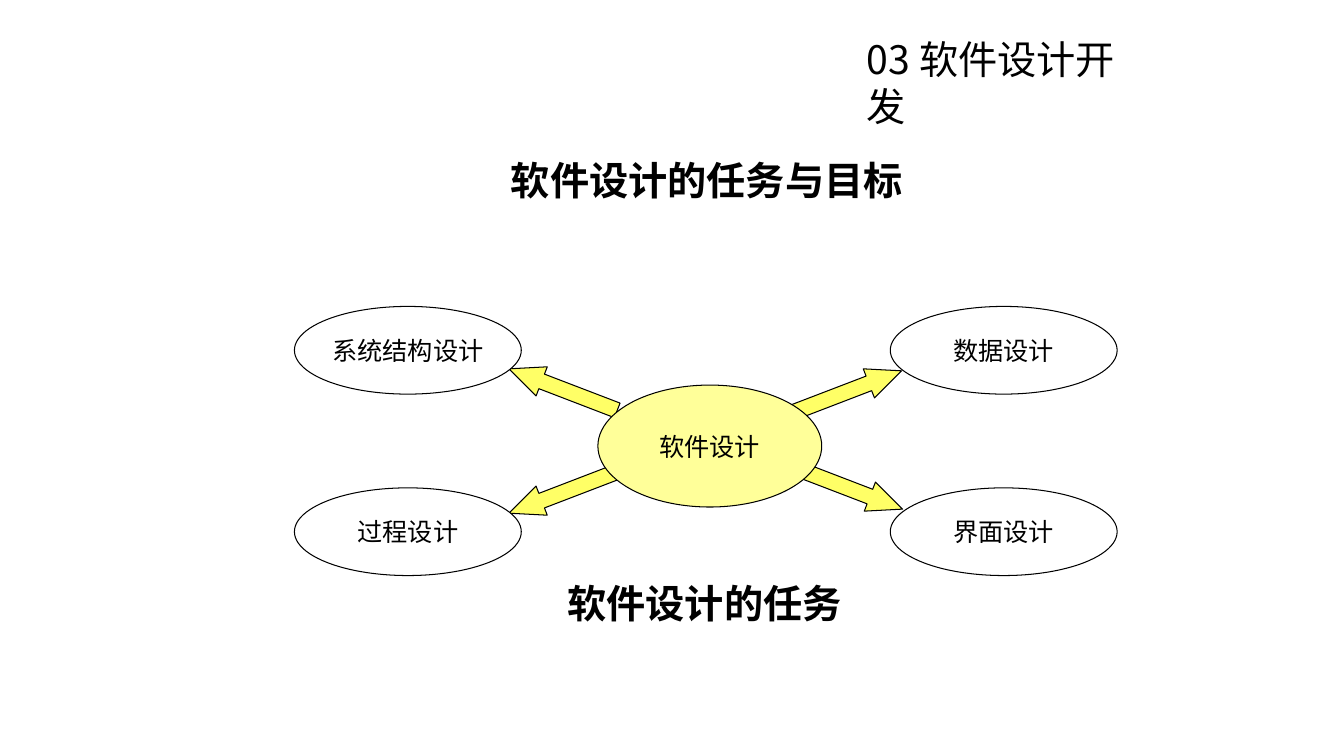
"""Build the slide on the tasks and goals of software design."""
from dataclasses import dataclass

from lxml import etree
from pptx import Presentation
from pptx import util as u
from pptx.dml.color import RGBColor
from pptx.enum import shapes, text
from pptx.oxml import ns

COLORS = {"ink": "000000", "paper": "FFFFFF", "hub": "FFFF99", "arrow": "FFFF66"}
CJK = "Noto Sans CJK SC"
LATIN = "Calibri"


@dataclass
class Heading:
    label: str
    left: float
    top: float
    width: float
    font: str = CJK
    bold: bool = False


@dataclass
class Oval:
    label: str
    left: float
    top: float
    width: float = 2.25
    height: float = 0.87
    fill: str = "paper"


@dataclass
class Arrow:
    left: float
    top: float
    angle: float


LEFT_X, RIGHT_X, TOP_Y, BOTTOM_Y = 2.92, 8.83, 3.04, 4.84
TILT = 21

HEADINGS = [
    Heading("03 软件设计开发", 8.5, 0.3, 3.02),
    Heading("软件设计的任务与目标", 4.97, 1.5, 4.13, bold=True),
    Heading("软件设计的任务", 5.53, 5.7, 2.95, font=LATIN, bold=True),
]
ARROWS = [
    Arrow(5.01, 4.73, 180 - TILT),
    Arrow(7.84, 4.69, TILT),
    Arrow(5.01, 3.71, 180 + TILT),
    Arrow(7.83, 3.73, 360 - TILT),
]
OVALS = [
    Oval("过程设计", LEFT_X, BOTTOM_Y),
    Oval("系统结构设计", LEFT_X, TOP_Y),
    Oval("数据设计", RIGHT_X, TOP_Y),
    Oval("界面设计", RIGHT_X, BOTTOM_Y),
    Oval("软件设计", 5.93, 3.82, 2.22, 1.21, "hub"),
]


def write(tf, label: str, *, size: float, font: str = LATIN, bold: bool = False,
          align=text.PP_ALIGN.LEFT, anchor=text.MSO_ANCHOR.TOP, wrap: bool = True) -> None:
    tf.word_wrap = wrap
    tf.vertical_anchor = anchor
    p = tf.paragraphs[0]
    p.alignment = align
    r = p.add_run()
    r.text = label
    r.font.size = u.Pt(size)
    r.font.bold = bold
    r.font.color.rgb = RGBColor.from_string(COLORS["ink"])
    r.font.name = font
    etree.SubElement(r.font._element, ns.qn("a:ea")).set("typeface", CJK)


def add_outlined(s, kind, left: float, top: float, width: float, height: float, fill: str):
    sp = s.shapes.add_shape(kind, u.Inches(left), u.Inches(top),
                            u.Inches(width), u.Inches(height))
    sp.shadow.inherit = False
    sp.fill.solid()
    sp.fill.fore_color.rgb = RGBColor.from_string(COLORS[fill])
    sp.line.color.rgb = RGBColor.from_string(COLORS["ink"])
    sp.line.width = u.Pt(0.75)
    return sp


def draw_heading(s, h: Heading) -> None:
    sp = s.shapes.add_textbox(u.Inches(h.left), u.Inches(h.top),
                              u.Inches(h.width), u.Inches(0.57))
    write(sp.text_frame, h.label, size=28, font=h.font, bold=h.bold)


def draw_arrow(s, a: Arrow) -> None:
    sp = add_outlined(s, shapes.MSO_SHAPE.RIGHT_ARROW, a.left, a.top, 1.15, 0.31, "arrow")
    sp.adjustments[0] = 0.5
    sp.adjustments[1] = 1.12
    sp.rotation = a.angle


def draw_oval(s, o: Oval) -> None:
    sp = add_outlined(s, shapes.MSO_SHAPE.OVAL, o.left, o.top, o.width, o.height, o.fill)
    write(sp.text_frame, o.label, size=18, align=text.PP_ALIGN.CENTER,
          anchor=text.MSO_ANCHOR.MIDDLE, wrap=False)


def main() -> None:
    prs = Presentation()
    prs.slide_width, prs.slide_height = u.Inches(13.33), u.Inches(7.5)
    s = prs.slides.add_slide(prs.slide_layouts[6])
    for a in ARROWS:
        draw_arrow(s, a)
    for o in OVALS:
        draw_oval(s, o)
    for h in HEADINGS:
        draw_heading(s, h)
    prs.save("out.pptx")


if __name__ == "__main__":
    main()
